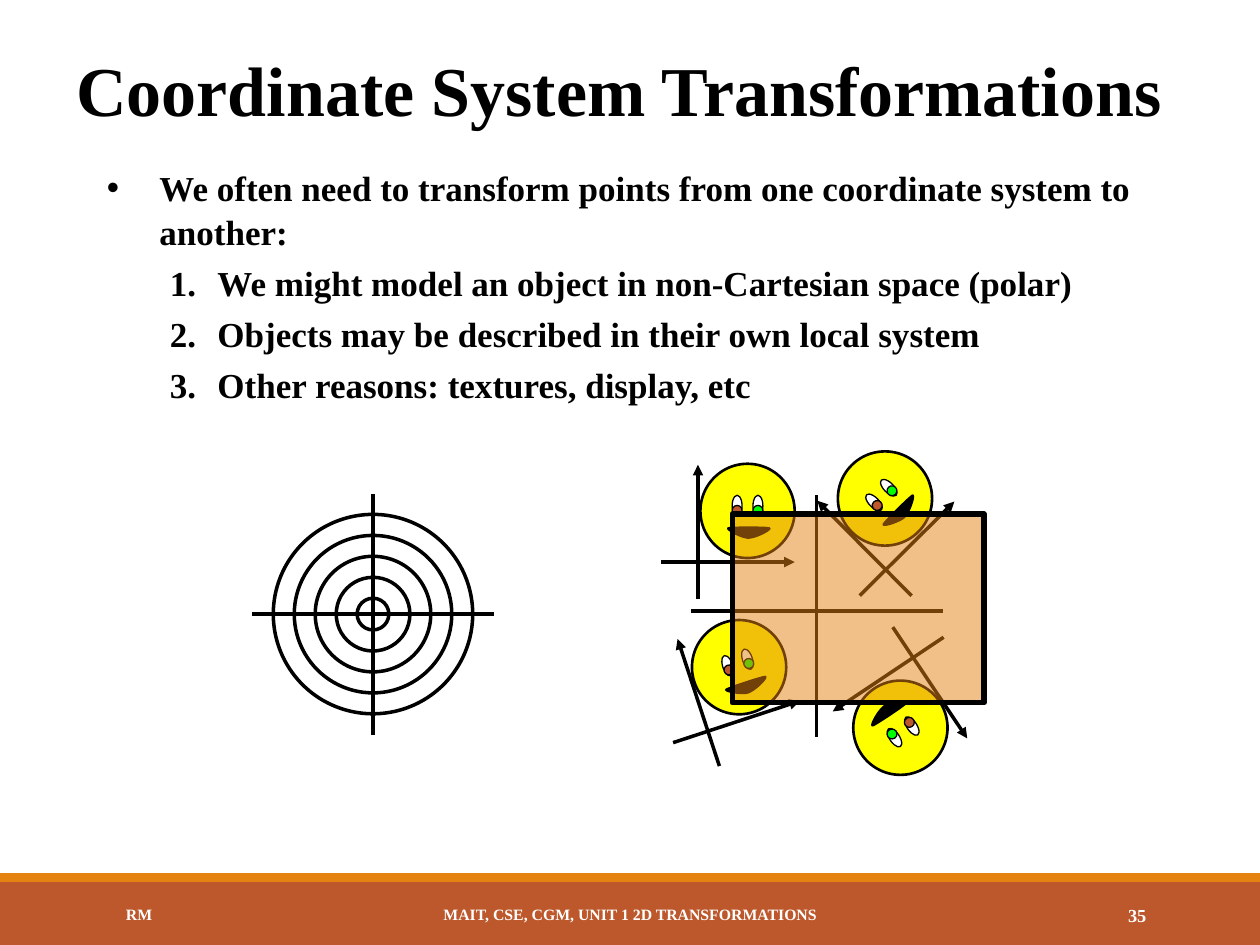
"""Build the slide on coordinate system transformations."""
import math

import pptx
import pptx.dml.color
import pptx.enum.shapes
import pptx.enum.text
import pptx.oxml.ns
import pptx.util
from lxml import etree

Cm, Pt, qn = pptx.util.Cm, pptx.util.Pt, pptx.oxml.ns.qn
SHAPE = pptx.enum.shapes.MSO_SHAPE
ALIGN = pptx.enum.text.PP_ALIGN
MIDDLE = pptx.enum.text.MSO_ANCHOR.MIDDLE

FONT = "Times New Roman"
BLACK, WHITE, YELLOW, GREEN = "000000", "FFFFFF", "FFFF00", "00FF00"
RUST, ORANGE = "BD582C", "E48312"

TITLE = "Coordinate System Transformations"
LEAD = "We often need to transform points from one coordinate system to another:"
REASONS = [
    "We might model an object in non-Cartesian space (polar)",
    "Objects may be described in their own local system",
    "Other reasons: textures, display, etc",
]
BARS = [((0, 17.78, 25.4, 1.27), RUST), ((0, 17.6, 25.4, 0.18), ORANGE)]
FOOTERS = [
    ("MAIT, CSE, CGM, UNIT 1 2D TRANSFORMATIONS", 7.67, 10.06, 9, ALIGN.CENTER),
    ("35", 20.62, 2.74, 10.5, ALIGN.RIGHT),
    ("RM", 2.29, 5.16, 9, ALIGN.LEFT),
]

POLAR_CENTRE, POLAR_REACH = (7.52, 12.38), 2.43
RINGS = [0.64 + 0.845 * k for k in reversed(range(5))]
WORLD_AXES = [((16.46, 9.98), (16.46, 14.86)), ((13.92, 12.32), (19.0, 12.32))]
SCREEN = (14.76, 10.36, 5.08, 3.81)

FACES = [((17.84, 10.05), 315.2), ((14.9, 13.45), 341.8),
         ((18.15, 14.67), 146.2), ((15.07, 10.3), 0)]
LOCAL_AXES = [((-1, 1.77), (-1, -0.93)), ((-1.74, 1.03), (0.95, 1.03))]
MOUTH = [
    [(-0.39, 0.34), (-0.47, 0.37), (-0.11, 0.55), (0.01, 0.55)],
    [(0.01, 0.55), (0.17, 0.55), (0.52, 0.37), (0.44, 0.34)],
    [(0.44, 0.34), (0.37, 0.32), (-0.32, 0.32), (-0.39, 0.34)],
]
EYES = [(-0.21, -0.1, 0.43, WHITE), (0.21, -0.1, 0.43, WHITE),
        (-0.21, -0.01, 0.2, RUST), (0.21, -0.01, 0.2, GREEN)]


def rgb(value):
    return pptx.dml.color.RGBColor.from_string(value)


def write(tf, text, size, color=BLACK, align=None, level=0, before=0,
          spacing=None, bullet=None, indent=None):
    p = tf.paragraphs[0]
    if p.runs:
        p = tf.add_paragraph()
    if bullet:
        pPr = p._p.get_or_add_pPr()
        pPr.set("marL", str(Cm(indent[0])))
        pPr.set("indent", str(Cm(indent[1])))
        clr = etree.SubElement(pPr, qn("a:buClr"))
        etree.SubElement(clr, qn("a:srgbClr"), val=BLACK)
        tag, attrs = bullet
        etree.SubElement(pPr, qn(tag), **attrs)
    p.level, p.alignment, p.space_before = level, align, Pt(before)
    if spacing:
        p.line_spacing = spacing
    r = p.add_run()
    r.text = text
    r.font.name, r.font.size, r.font.bold = FONT, Pt(size), True
    r.font.color.rgb = rgb(color)


def place(sp, box):
    sp.left, sp.top, sp.width, sp.height = map(Cm, box)
    sp.text_frame.auto_size = pptx.enum.text.MSO_AUTO_SIZE.NONE
    sp.text_frame.word_wrap = True
    return sp.text_frame


def style(sp, fill=None, line=None):
    sp.shadow.inherit = False
    if fill:
        sp.fill.solid()
        sp.fill.fore_color.rgb = rgb(fill)
    else:
        sp.fill.background()
    if line:
        sp.line.color.rgb = rgb(BLACK)
        sp.line.width = Pt(line)
    else:
        sp.line.fill.background()
    return sp


def add_rect(shapes, box, fill, line=None):
    return style(shapes.add_shape(SHAPE.RECTANGLE, *map(Cm, box)), fill, line)


def add_ellipse(shapes, centre, w, h, fill=None, line=2, angle=0):
    x, y = centre
    box = (x - w / 2, y - h / 2, w, h)
    sp = style(shapes.add_shape(SHAPE.OVAL, *map(Cm, box)), fill, line)
    sp.rotation = angle


def add_axis(shapes, start, end, arrow=False):
    kind = pptx.enum.shapes.MSO_CONNECTOR.STRAIGHT
    cx = shapes.add_connector(kind, *map(Cm, (*start, *end)))
    cx.line.color.rgb = rgb(BLACK)
    cx.line.width = Pt(2)
    if arrow:
        etree.SubElement(cx.line._get_or_add_ln(), qn("a:tailEnd"), type="triangle")
    etree.SubElement(cx._element.spPr, qn("a:effectLst"))


def bezier(a, b, c, d, steps=10):
    for i in range(1, steps + 1):
        t = i / steps
        u = 1 - t
        yield tuple(u**3 * p + 3 * u * u * t * q + 3 * u * t * t * r + t**3 * s
                    for p, q, r, s in zip(a, b, c, d))


def add_face(shapes, centre, angle):
    cos, sin = math.cos(math.radians(angle)), math.sin(math.radians(angle))

    def turn(point):
        x, y = point
        return centre[0] + cos * x - sin * y, centre[1] + sin * x + cos * y

    group = shapes.add_group_shape().shapes
    for start, end in LOCAL_AXES:
        add_axis(group, turn(start), turn(end), arrow=True)
    add_ellipse(group, centre, 1.9, 1.9, YELLOW, 1.5, angle)
    outline = [tuple(map(Cm, turn(pt))) for curve in MOUTH for pt in bezier(*curve)]
    builder = group.build_freeform(*outline[0])
    builder.add_line_segments(outline[1:], close=True)
    style(builder.convert_to_shape(), BLACK, 0.75)
    for x, y, height, fill in EYES:
        add_ellipse(group, turn((x, y)), 0.2, height, fill, 0.75, angle)


def main():
    prs = pptx.Presentation()
    prs.slide_width, prs.slide_height = Cm(25.4), Cm(19.05)
    slide = prs.slides.add_slide(prs.slide_layouts[1])
    shapes = slide.shapes

    for box, fill in BARS:
        add_rect(shapes, box, fill)

    tf = place(shapes.title, (0.63, 0.84, 23.7, 1.9))
    tf.vertical_anchor = MIDDLE
    write(tf, TITLE, 40, align=ALIGN.CENTER)
    tf = place(slide.placeholders[1], (1.9, 3.18, 21.6, 5.08))
    write(tf, LEAD, 20, spacing=1.05, bullet=("a:buChar", {"char": "•"}),
          indent=(1.06, -1.06))
    for reason in REASONS:
        write(tf, reason, 20, level=1, before=4, spacing=1.05,
              bullet=("a:buAutoNum", {"type": "arabicPeriod"}), indent=(2.23, -0.96))

    polar = shapes.add_group_shape().shapes
    for d in RINGS:
        add_ellipse(polar, POLAR_CENTRE, d, d)
    x, y = POLAR_CENTRE
    add_axis(polar, (x, y - POLAR_REACH), (x, y + POLAR_REACH))
    add_axis(polar, (x - POLAR_REACH, y), (x + POLAR_REACH, y))

    for start, end in WORLD_AXES:
        add_axis(shapes, start, end)
    for centre, angle in FACES:
        add_face(shapes, centre, angle)
    screen = add_rect(shapes, SCREEN, ORANGE, 3)
    color = screen._element.spPr.find(".//" + qn("a:srgbClr"))
    etree.SubElement(color, qn("a:alpha"), val="50000")

    for text, left, width, size, align in FOOTERS:
        box = (left, 17.93, width, 1.02)
        tf = place(shapes.add_textbox(*map(Cm, box)), box)
        tf.vertical_anchor = MIDDLE
        write(tf, text, size, WHITE, align)

    prs.save("out.pptx")


if __name__ == "__main__":
    main()
